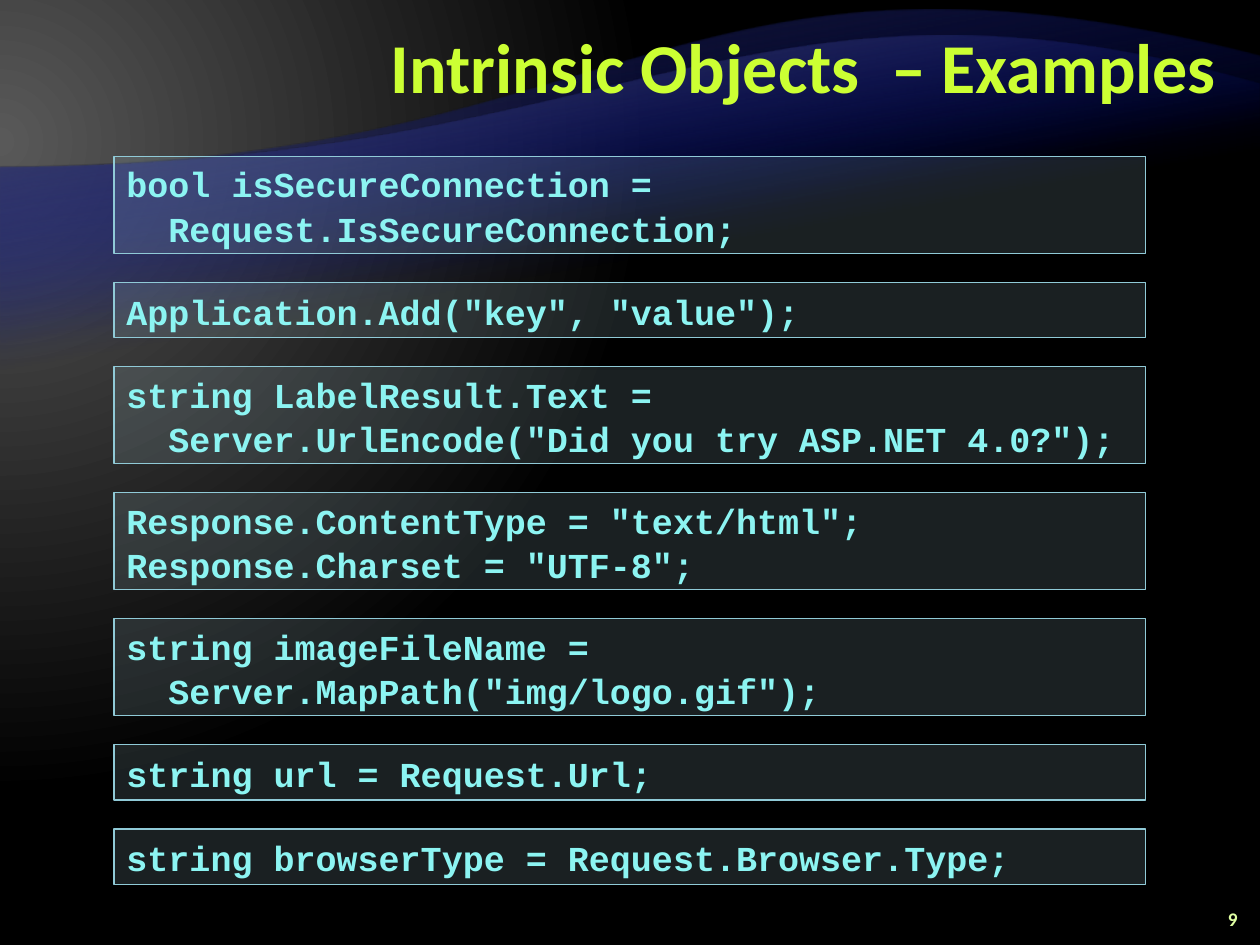
from lxml.etree import SubElement as Sub
from pptx import Presentation
from pptx.dml.color import RGBColor as Rgb
from pptx.enum.shapes import MSO_SHAPE as Kind
from pptx.enum.text import MSO_ANCHOR as Anchor, MSO_AUTO_SIZE as Fit, PP_ALIGN as Align
from pptx.oxml import parse_xml
from pptx.oxml.ns import nsdecls, qn
from pptx.util import Cm, Pt

HUES = {
    "title": "CCFF33", "code": "8CF4F2", "page": "E0FFA3",
    "box": "B5DBE5", "edge": "90CAD7", "wave": "000D9E",
    "dark": "262626", "gray": "595959", "black": "000000",
}
WIDE, HIGH = 25.4, 19.05
GAP = 0.58
CODES = [
    ["bool isSecureConnection =\n  Request.IsSecureConnection;"],
    ['Application.Add("key", "value");'],
    ['string LabelResult.Text =\n  Server.UrlEncode("Did you try ASP.NET 4.0?");'],
    ['Response.ContentType = "text/html";', 'Response.Charset = "UTF-8";'],
    ['string imageFileName =\n  Server.MapPath("img/logo.gif");'],
    ["string url = Request.Url;"],
    ["string browserType = Request.Browser.Type;"],
]
BACK = '<a:path path="circle"><a:fillToRect l="20000" t="30000" r="135000" b="100000"/></a:path>'
SLANT = '<a:lin ang="15600000" scaled="0"/>'


def hue(name):
    return Rgb.from_string(HUES[name])


def blend(host, stops, shade):
    marks = "".join(
        f'<a:gs pos="{pos * 1000}"><a:srgbClr val="{HUES[name]}">'
        f'<a:alpha val="{alpha * 1000}"/></a:srgbClr></a:gs>'
        for pos, name, alpha in stops)
    fill = parse_xml(f'<a:gradFill {nsdecls("a")} rotWithShape="1">'
                     f'<a:gsLst>{marks}</a:gsLst>{shade}</a:gradFill>')
    host.replace(host.find(qn("a:solidFill")), fill)


def write(shape, lines, size, color, font="Calibri", align=Align.LEFT, space=None):
    frame = shape.text_frame
    frame.word_wrap = True
    frame.vertical_anchor = Anchor.MIDDLE
    for i, line in enumerate(lines):
        para = frame.add_paragraph() if i else frame.paragraphs[0]
        para.text = line
        para.alignment = align
        para.line_spacing = space
        for run in para.runs:
            run.font.name = font
            run.font.size = Pt(size)
            run.font.bold = True
            run.font.color.rgb = hue(color)


def label(slide, text, place, **style):
    write(slide.shapes.add_textbox(*map(Cm, place)), [text], align=Align.RIGHT, **style)


def wave(slide, base, bend, top):
    curve = [(0, 3.38), (12.7, 3.38), bend, (WIDE, top)]
    points = [(WIDE, base), (0, base)]
    for step in range(61):
        t = step / 60
        parts = ((1 - t) ** 3, 3 * t * (1 - t) ** 2, 3 * t * t * (1 - t), t ** 3)
        points.append(tuple(sum(w * p[k] for w, p in zip(parts, curve)) for k in (0, 1)))
    spots = [(Cm(x), Cm(y)) for x, y in points]
    form = slide.shapes.build_freeform(*spots[0])
    form.add_line_segments(spots[1:], close=True)
    return form.convert_to_shape()


def ribbon(slide, tone, base, bend, top):
    shape = wave(slide, base, bend, top)
    shape.shadow.inherit = False
    shape.line.fill.background()
    shape.fill.solid()
    blend(shape._element.spPr, [(0, "wave", 0), (65, "wave", 0), (100, tone, 100)], SLANT)


def panel(slide, lines, top, high):
    shape = slide.shapes.add_shape(Kind.RECTANGLE, Cm(2.3), Cm(top), Cm(20.8), Cm(high))
    shape.shadow.inherit = False
    shape.fill.solid()
    shape.fill.fore_color.rgb = hue("box")
    tint = shape._element.spPr.find(qn("a:solidFill"))[0]
    Sub(tint, qn("a:alpha"), val="15000")
    shape.line.color.rgb = hue("edge")
    shape.line.width = Pt(0.75)
    write(shape, lines, 20, "code", font="Courier New", space=1.06)
    shape.text_frame.auto_size = Fit.SHAPE_TO_FIT_TEXT


def main():
    deck = Presentation()
    deck.slide_width, deck.slide_height = Cm(WIDE), Cm(HIGH)
    slide = deck.slides.add_slide(deck.slide_layouts[6])
    slide.background.fill.solid()
    blend(slide._element.cSld.bg.bgPr, [(0, "gray", 100), (83, "black", 100)], BACK)
    ribbon(slide, "dark", 16.59, (13.56, -1.9), 1.14)
    ribbon(slide, "gray", 14.15, (15.19, -1.24), 1.7)
    label(slide, "Intrinsic Objects  – Examples", (5.08, 0.2, 19.69, 2.54),
          size=40, color="title", space=Pt(40))
    top = 3.15
    for lines in CODES:
        high = 1.96 if "\n" in "\n".join(lines) else 1.12
        panel(slide, lines, top, high)
        top += high + GAP
    label(slide, "9", (23.93, 18.21, 1.27, 0.64), size=11, color="page")
    deck.save("out.pptx")


if __name__ == "__main__":
    main()
